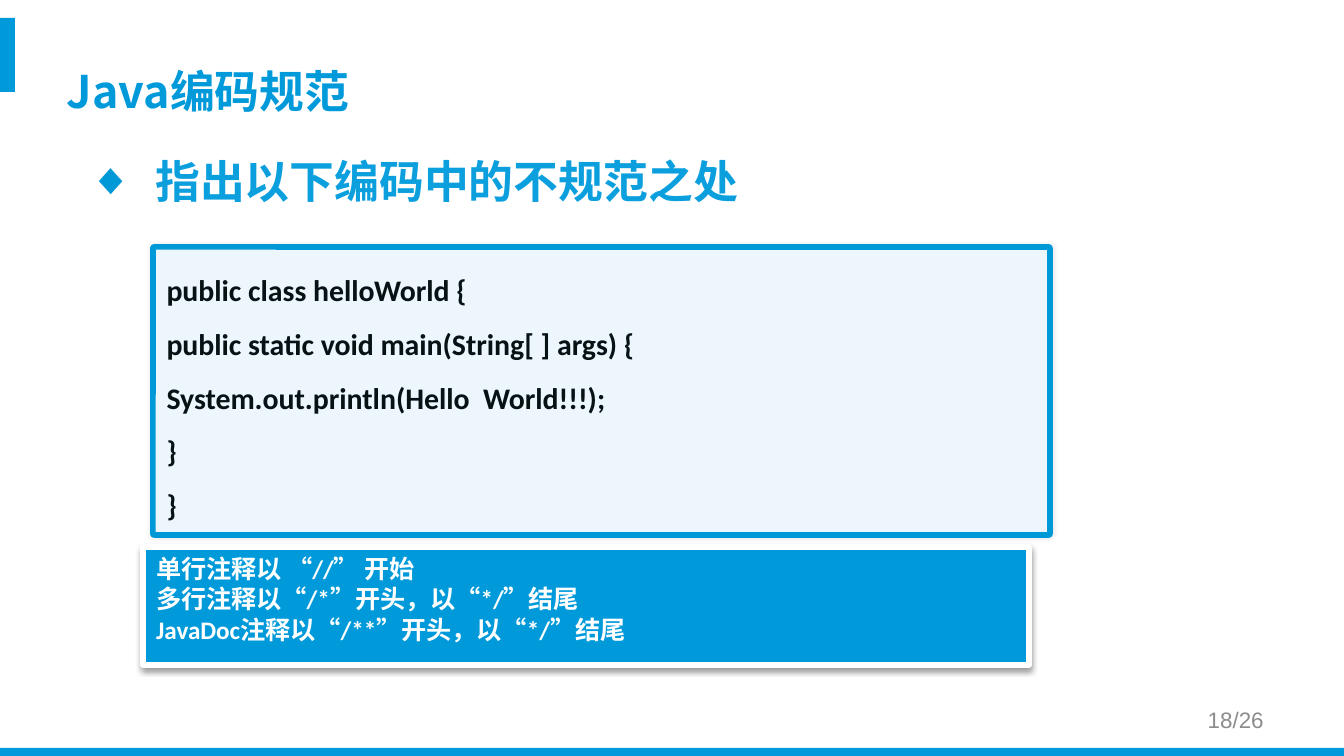
from dataclasses import dataclass

import pptx
import pptx.dml.color
import pptx.enum.shapes
import pptx.enum.text
import pptx.oxml.ns
import pptx.oxml.xmlchemy
import pptx.util
from lxml import etree

RGBColor = pptx.dml.color.RGBColor
MSO_SHAPE = pptx.enum.shapes.MSO_SHAPE
MSO_ANCHOR = pptx.enum.text.MSO_ANCHOR
PP_ALIGN = pptx.enum.text.PP_ALIGN
qn = pptx.oxml.ns.qn

EMU_PER_PX = 914400 / 134.4
BLUE = RGBColor(0x00, 0x9A, 0xDA)
BORDER_BLUE = RGBColor(0x00, 0x99, 0xD8)
HEADING_BLUE = RGBColor(0x0B, 0x9F, 0xDD)
PALE_BLUE = RGBColor(0xED, 0xF5, 0xFD)
INK = RGBColor(0x07, 0x12, 0x15)
GREY = RGBColor(0x8C, 0x8C, 0x8C)
WHITE = RGBColor(0xFF, 0xFF, 0xFF)
BLACK = RGBColor(0x00, 0x00, 0x00)
CJK = "Noto Sans CJK SC"


@dataclass(frozen=True)
class Box:
    left: int
    top: int
    width: int
    height: int

    def emu(self) -> list[int]:
        return [px(n) for n in (self.left, self.top, self.width, self.height)]


@dataclass(frozen=True)
class Shadow:
    opacity: int
    blur: float
    distance: float
    angle: int


@dataclass(frozen=True)
class Panel:
    box: Box
    fill: RGBColor
    border: RGBColor
    corner: float
    shadow: Shadow
    lines: tuple[str, ...]
    size: float
    color: RGBColor
    spacing: float


def px(n: int) -> int:
    return round(n * EMU_PER_PX)


def place(shape, box: Box) -> None:
    shape.left, shape.top, shape.width, shape.height = box.emu()


def write(frame, *lines: str, size: float, color: RGBColor, font: str = "Calibri",
          bold: bool = True, align=PP_ALIGN.LEFT, anchor=MSO_ANCHOR.TOP,
          spacing: float = 1.0) -> None:
    frame.word_wrap = True
    frame.auto_size = pptx.enum.text.MSO_AUTO_SIZE.NONE
    frame.vertical_anchor = anchor
    for i, line in enumerate(lines):
        paragraph = frame.add_paragraph() if i else frame.paragraphs[0]
        paragraph.alignment = align
        paragraph.line_spacing = spacing
        run = paragraph.add_run()
        run.text = line
        run.font.size = pptx.util.Pt(size)
        run.font.bold = bold
        run.font.color.rgb = color
        run.font.name = font
        etree.SubElement(run.font._element, qn("a:ea"), typeface=CJK)


def add_bullet(paragraph, symbol: str, color: RGBColor, indent: int) -> None:
    properties = paragraph._p.get_or_add_pPr()
    properties.set("marL", str(px(indent)))
    properties.set("indent", str(-px(indent)))
    bullet_color = etree.SubElement(properties, qn("a:buClr"))
    etree.SubElement(bullet_color, qn("a:srgbClr"), val=str(color))
    etree.SubElement(properties, qn("a:buChar"), char=symbol)


def add_shadow(shape, shadow: Shadow) -> None:
    effects = shape._element.spPr.find(qn("a:effectLst"))
    outer = etree.SubElement(
        effects, qn("a:outerShdw"), blurRad=str(pptx.util.Pt(shadow.blur)),
        dist=str(pptx.util.Pt(shadow.distance)), dir=str(shadow.angle * 60000),
        algn="ctr", rotWithShape="0")
    shade = etree.SubElement(outer, qn("a:srgbClr"), val=str(BLACK))
    etree.SubElement(shade, qn("a:alpha"), val=str(shadow.opacity * 1000))


def add_bar(slide, box: Box) -> None:
    bar = slide.shapes.add_shape(MSO_SHAPE.RECTANGLE, *box.emu())
    bar.shadow.inherit = False
    bar.fill.solid()
    bar.fill.fore_color.rgb = BLUE
    bar.line.fill.background()


def add_panel(slide, panel: Panel) -> None:
    shape = slide.shapes.add_shape(MSO_SHAPE.ROUNDED_RECTANGLE, *panel.box.emu())
    shape.adjustments[0] = panel.corner
    shape.fill.solid()
    shape.fill.fore_color.rgb = panel.fill
    shape.line.color.rgb = panel.border
    shape.line.width = pptx.util.Pt(3)
    shape.shadow.inherit = False
    add_shadow(shape, panel.shadow)
    write(shape.text_frame, *panel.lines, size=panel.size, color=panel.color,
          spacing=panel.spacing)


BARS = (Box(-1, 18, 16, 74), Box(-1, 748, 1346, 11))
CODE = Panel(
    Box(153, 247, 897, 288), PALE_BLUE, BORDER_BLUE, 0.004, Shadow(10, 3, 0, 0),
    ("public class helloWorld {", "public static void main(String[ ] args) {",
     "System.out.println(Hello  World!!!);", "}", "}"),
    16, INK, 1.5)
COMMENT_RULES = Panel(
    Box(143, 547, 886, 118), BLUE, WHITE, 0, Shadow(38, 3.1, 1.6, 90),
    ("单行注释以 “//” 开始", "多行注释以“/*”开头，以“*/”结尾",
     "JavaDoc注释以“/**”开头，以“*/”结尾"),
    13.5, WHITE, 1.0)


def main() -> None:
    deck = pptx.Presentation()
    deck.slide_width, deck.slide_height = px(1344), px(756)
    slide = deck.slides.add_slide(deck.slide_layouts[1])

    for bar in BARS:
        add_bar(slide, bar)

    heading = slide.shapes.title
    place(heading, Box(67, 31, 1210, 126))
    heading.text_frame.margin_left = heading.text_frame.margin_top = 0
    write(heading.text_frame, "Java编码规范", size=24, color=BLUE, font=CJK,
          anchor=MSO_ANCHOR.MIDDLE)

    add_panel(slide, CODE)

    task = slide.placeholders[1]
    place(task, Box(75, 147, 1164, 71))
    write(task.text_frame, "指出以下编码中的不规范之处", size=24,
          color=HEADING_BLUE, font=CJK)
    add_bullet(task.text_frame.paragraphs[0], "◆", BORDER_BLUE, 67)

    add_panel(slide, COMMENT_RULES)

    page = slide.shapes.add_textbox(*Box(964, 700, 313, 40).emu())
    write(page.text_frame, "18/26", size=12, color=GREY, font="Arial", bold=False,
          align=PP_ALIGN.RIGHT, anchor=MSO_ANCHOR.MIDDLE)

    deck.save("out.pptx")


if __name__ == "__main__":
    main()
